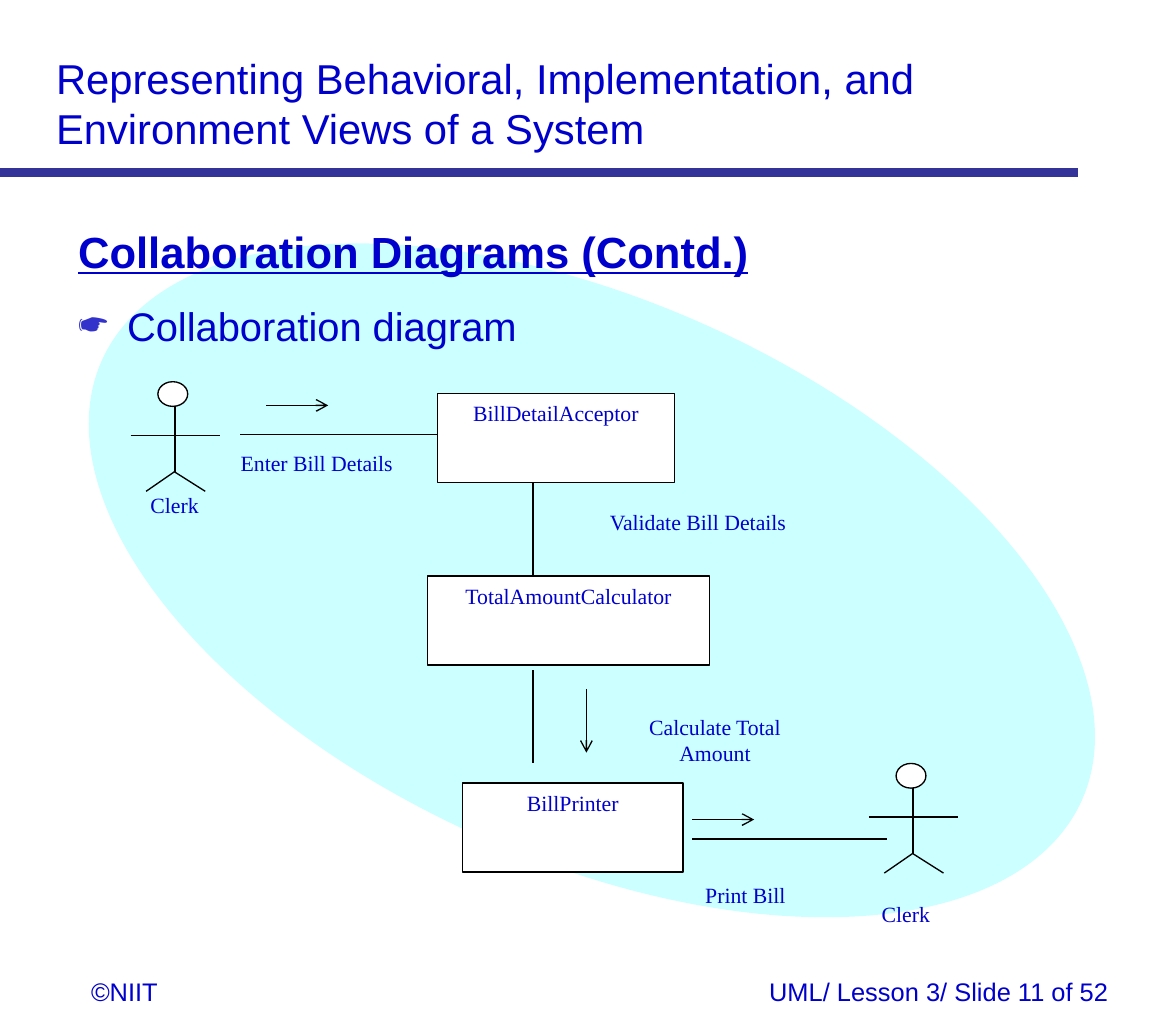
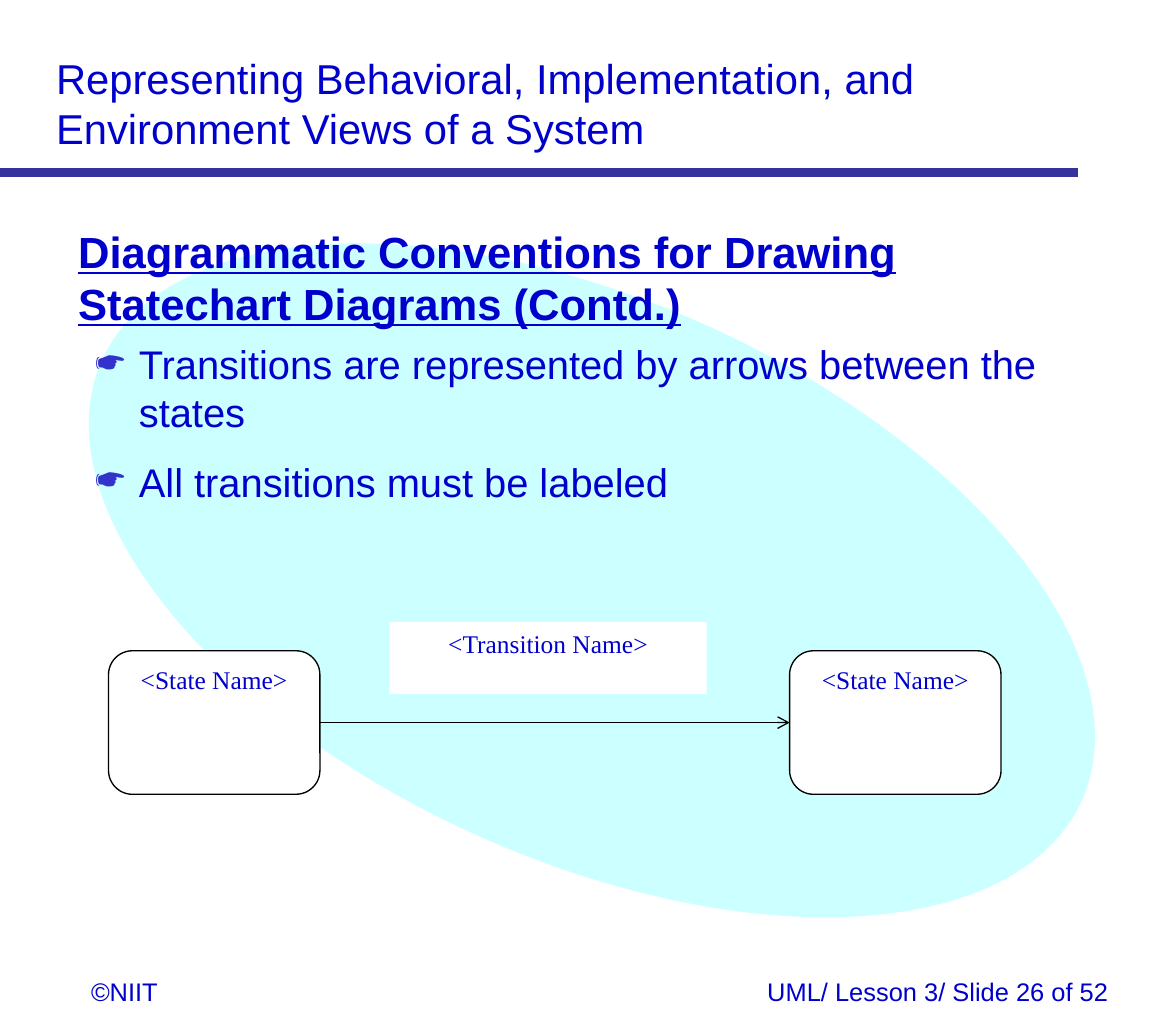
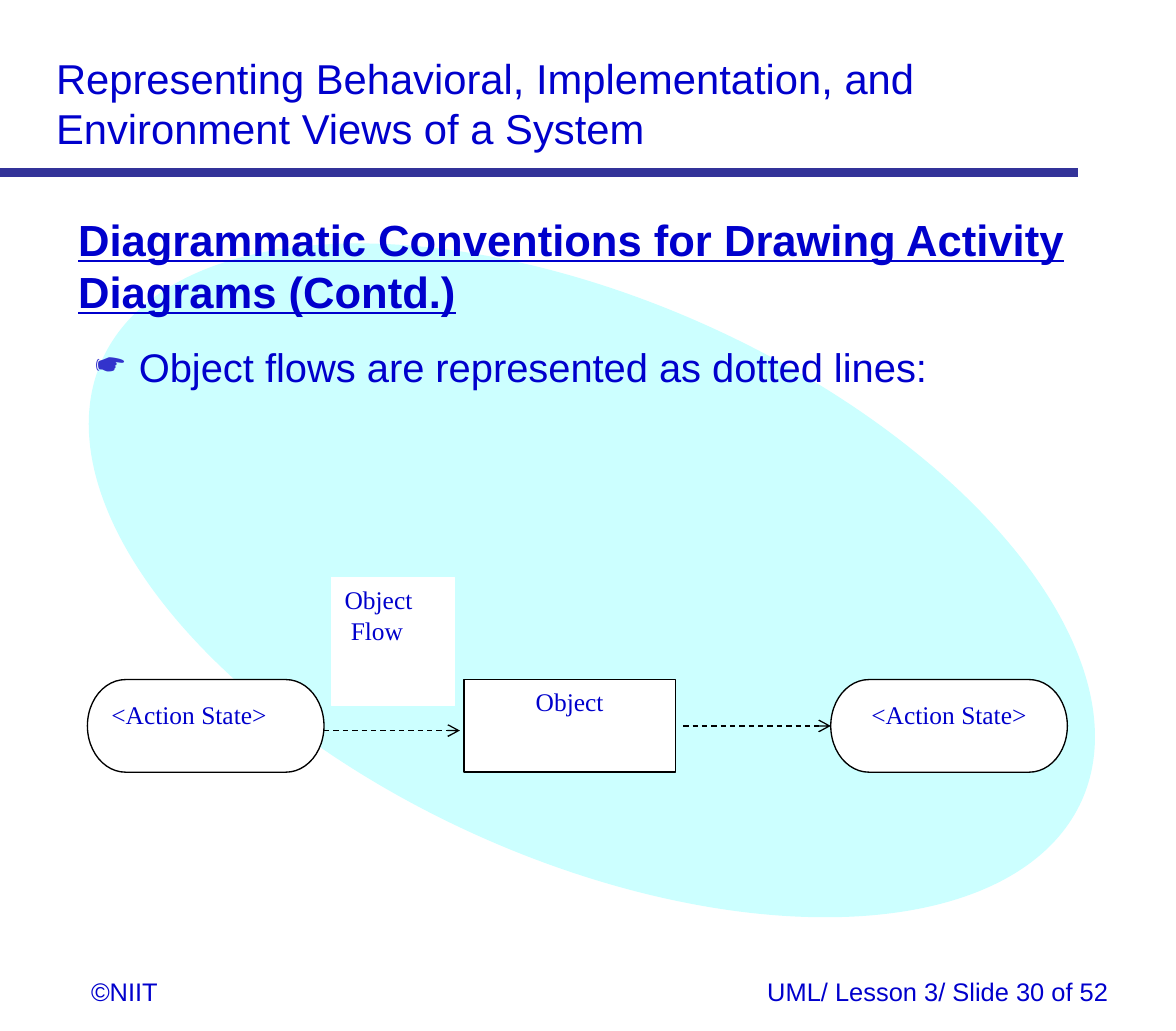
from collections import namedtuple

from lxml import etree
from pptx import Presentation
from pptx.dml.color import RGBColor
from pptx.enum.dml import MSO_LINE_DASH_STYLE as DASH
from pptx.enum.shapes import MSO_CONNECTOR as CONN, MSO_SHAPE as SHAPE
from pptx.enum.text import MSO_ANCHOR as ANCHOR, PP_ALIGN as ALIGN
from pptx.oxml.ns import qn
from pptx.util import Cm, Pt

BLUE = RGBColor(0x00, 0x00, 0xCC)
BULLET_BLUE = RGBColor(0x33, 0x33, 0xCC)
RULE_BLUE = RGBColor(0x33, 0x33, 0x99)
CYAN = RGBColor(0xCC, 0xFF, 0xFF)
WHITE = RGBColor(0xFF, 0xFF, 0xFF)
BLACK = RGBColor(0x00, 0x00, 0x00)
SANS, SERIF = "Arial", "Times New Roman"
COURSE_TITLE = ("Representing Behavioral, Implementation, and "
                "Environment Views of a System")

Box = namedtuple("Box", "x y w h")  # centimetres


# Helpers
def inside(box, x, y, w, h):
    """Box placed relative to the corner of another box."""
    return Box(box.x + x, box.y + y, w, h)


def cms(*values):
    return [Cm(v) for v in values]


def write(tf, text, font=SERIF, size=12, bold=False, underline=False, align=ALIGN.LEFT,
          before=0, after=0, margin=0, indent=0, bullet=None):
    """Fill the empty first paragraph, or add one after it."""
    tf.word_wrap = True
    tf.vertical_anchor = ANCHOR.TOP
    p = tf.paragraphs[0]
    if p.runs:
        p = tf.add_paragraph()
    pPr = p._p.get_or_add_pPr()
    pPr.set("marL", str(Cm(margin)))
    pPr.set("indent", str(Cm(indent)))
    if bullet:
        clr = etree.SubElement(pPr, qn("a:buClr"))
        etree.SubElement(clr, qn("a:srgbClr"), val=str(BULLET_BLUE))
        etree.SubElement(pPr, qn("a:buChar"), char=bullet)
    p.alignment = align
    p.space_before, p.space_after = Pt(before), Pt(after)
    r = p.add_run()
    r.text = text
    r.font.name, r.font.size = font, Pt(size)
    r.font.bold, r.font.underline = bold, underline
    r.font.color.rgb = BLUE


def label(s, box, text, **fmt):
    write(s.shapes.add_textbox(*cms(*box)).text_frame, text, **fmt)


def shape(s, kind, box, text=None, fill=WHITE, line=BLACK, **fmt):
    sp = s.shapes.add_shape(kind, *cms(*box))
    sp.shadow.inherit = False
    sp.fill.solid()
    sp.fill.fore_color.rgb = fill
    if line is None:
        sp.line.fill.background()
    else:
        sp.line.color.rgb = line
        sp.line.width = Pt(0.75)
    if text:
        write(sp.text_frame, text, **fmt)
    return sp


def link(s, box, x1, y1, x2, y2, color=BLACK, width=0.75, arrow=False, dashed=False):
    """Straight line, with its ends relative to the box."""
    c = s.shapes.add_connector(
        CONN.STRAIGHT, *cms(box.x + x1, box.y + y1, box.x + x2, box.y + y2))
    c.line.color.rgb = color
    c.line.width = Pt(width)
    if dashed:
        c.line.dash_style = DASH.DASH
    if arrow:
        etree.SubElement(c.line._get_or_add_ln(), qn("a:tailEnd"), type="arrow")
    etree.SubElement(c._element.spPr, qn("a:effectLst"))
    return c


# Regions shared by all slides
def frame(prs, number):
    s = prs.slides.add_slide(prs.slide_layouts[6])
    page = Box(0, 0, 22.86, 20.04)
    shape(s, SHAPE.OVAL, Box(6.07, 0.84, 10.87, 20.88), fill=CYAN, line=None).rotation = 294.2
    label(s, Box(0.84, 0.9, 19.81, 2.21), COURSE_TITLE, font=SANS, size=23)
    label(s, Box(1.52, 18.85, 2.84, 0.86), "©NIIT", font=SANS, size=14)
    label(s, Box(3.18, 18.85, 18.62, 0.86), f"UML/ Lesson 3/ Slide {number} of 52",
          font=SANS, size=14, align=ALIGN.RIGHT)
    link(s, page, 0, 3.35, 20.96, 3.35, color=RULE_BLUE, width=5)
    return s


def body(s, box, heading, bullets, **fmt):
    tf = s.shapes.add_textbox(*cms(*box)).text_frame
    write(tf, heading, font=SANS, size=24, bold=True, underline=True)
    for text in bullets:
        write(tf, text, font=SANS, size=22, bullet="☛", **fmt)


# Collaboration diagram
def actor(s, box):
    neck, hip = 0.48, 1.75
    shape(s, SHAPE.FLOWCHART_CONNECTOR, inside(box, 0.53, 0, 0.58, neck))
    link(s, box, 0.86, neck, 0.86, hip)
    for foot in (0.3, 1.45):
        link(s, box, 0.85, hip, foot, box.h)
    link(s, box, 0, 1.04, box.w, 1.04)


def collaboration(s, box):
    for x, y in ((0, 0), (14.35, 7.42)):
        actor(s, inside(box, x, y, 1.73, 2.13))
    for x, y, w, name in ((5.97, 0.23, 4.6, "BillDetailAcceptor"),
                          (5.77, 3.78, 5.49, "TotalAmountCalculator"),
                          (6.45, 7.8, 4.29, "BillPrinter")):
        shape(s, SHAPE.RECTANGLE, inside(box, x, y, w, 1.73), name, align=ALIGN.CENTER)
    # Links between actors and objects
    for ends in ((2.13, 1.02, 5.97, 1.02), (7.82, 1.96, 7.82, 3.78),
                 (7.82, 5.61, 7.82, 7.42), (10.92, 8.89, 14.71, 8.89)):
        link(s, box, *ends)
    # Message directions
    for ends in ((2.64, 0.46, 3.84, 0.46), (8.86, 5.97, 8.86, 7.21),
                 (10.92, 8.51, 12.12, 8.51)):
        link(s, box, *ends, arrow=True)
    # Actor names and messages
    for x, y, w, text, align in (
            (-0.43, 2.01, 2.57, "Clerk", ALIGN.CENTER),
            (14.35, 9.96, 2.57, "Clerk", ALIGN.LEFT),
            (1.45, 1.19, 4.34, "Enter Bill Details", ALIGN.CENTER),
            (8.86, 2.34, 4.34, "Validate Bill Details", ALIGN.CENTER),
            (9.19, 6.32, 4.34, "Calculate Total Amount", ALIGN.CENTER),
            (10.92, 9.6, 4.34, "Print Bill", ALIGN.LEFT)):
        label(s, inside(box, x, y, w, 1), text, align=align)


# Statechart transition
def transition(s, box):
    w, h = 4.11, 2.79
    fmt = dict(size=14, align=ALIGN.CENTER)
    source, target = [
        shape(s, SHAPE.ROUNDED_RECTANGLE, inside(box, x, box.h - h, w, h),
              "<State Name>", **fmt)
        for x in (0, box.w - w)]
    shape(s, SHAPE.RECTANGLE, inside(box, 5.46, 0, 6.17, 1.4),
          "<Transition Name>", line=None, **fmt)
    arrow = link(s, box, w, box.h - h / 2, box.w - w, box.h - h / 2, arrow=True)
    arrow.begin_connect(source, 3)
    arrow.end_connect(target, 1)


# Activity object flow
def object_flow(s, box):
    w, h = 4.6, 1.8
    top, right = box.h - h, box.w - w
    link(s, box, w, 2.97, 7.24, 2.97, arrow=True, dashed=True)
    shape(s, SHAPE.FLOWCHART_TERMINATOR, inside(box, 0, top, w, h),
          "<Action State>", size=14)
    target = shape(s, SHAPE.FLOWCHART_TERMINATOR, inside(box, right, top, w, h),
                   "<Action State>", size=14, align=ALIGN.CENTER)
    arrow = link(s, box, 11.58, top + h / 2, right, top + h / 2, arrow=True, dashed=True)
    arrow.end_connect(target, 1)
    shape(s, SHAPE.RECTANGLE, inside(box, 7.32, top, 4.11, h),
          "Object", size=14, align=ALIGN.CENTER)
    note = shape(s, SHAPE.RECTANGLE, inside(box, 4.75, 0, 2.39, 2.49),
                 "Object", line=WHITE, size=14)
    write(note.text_frame, "Flow", size=14, margin=0.12)


def main():
    prs = Presentation()
    prs.slide_width, prs.slide_height = Cm(22.86), Cm(20.04)

    s = frame(prs, 11)
    body(s, Box(1.27, 4.24, 20.19, 14.25), "Collaboration Diagrams (Contd.)",
         ["Collaboration diagram"], before=13.8, margin=0.95, indent=-0.95)
    collaboration(s, Box(2.54, 7.42, 16.1, 10.9))

    s = frame(prs, 26)
    body(s, Box(1.27, 4.24, 20.75, 14.25),
         "Diagrammatic Conventions for Drawing Statechart Diagrams (Contd.)",
         ["Transitions are represented by arrows between the states",
          "All transitions must be labeled"],
         before=6, after=6, margin=1.18, indent=-0.85)
    transition(s, Box(2.11, 12.09, 17.35, 3.35))

    s = frame(prs, 30)
    body(s, Box(1.27, 4.01, 20.19, 14.25),
         "Diagrammatic Conventions for Drawing Activity Diagrams (Contd.)",
         ["Object flows are represented as dotted lines:"],
         before=13.8, margin=1.18, indent=-0.85)
    object_flow(s, Box(1.7, 11.23, 19.05, 3.78))

    prs.save("out.pptx")


if __name__ == "__main__":
    main()
